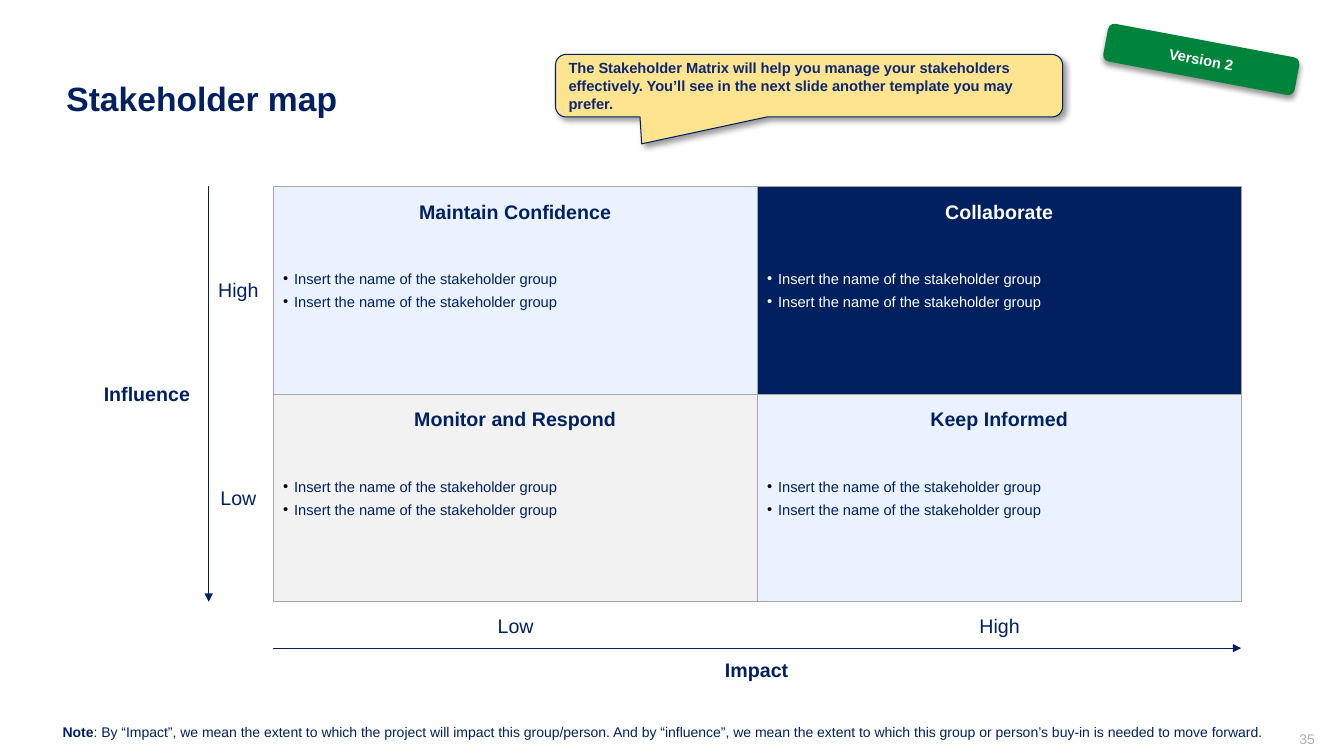
from lxml import etree
from pptx import Presentation
from pptx.dml.color import RGBColor
from pptx.enum.shapes import MSO_CONNECTOR as Connector, MSO_SHAPE as Shape
from pptx.enum.text import MSO_ANCHOR as Anchor, PP_ALIGN as Align
from pptx.oxml.ns import qn
from pptx.util import Inches, Pt

NAVY, WHITE, BLACK = "002060", "FFFFFF", "000000"
PALE_BLUE, PALE_GREY, BORDER = "EBF2FF", "F2F2F2", "A6A6A6"
STAKEHOLDERS = ["Insert the name of the stakeholder group"] * 2
# Title, fill, text colour, bullet colour; row by row
QUADRANTS = [
    [("Maintain Confidence", PALE_BLUE, NAVY, BLACK),
     ("Collaborate", NAVY, WHITE, WHITE)],
    [("Monitor and Respond", PALE_GREY, NAVY, BLACK),
     ("Keep Informed", PALE_BLUE, NAVY, BLACK)],
]
NOTE = (": By “Impact”, we mean the extent to which the project will impact this "
        "group/person. And by “influence”, we mean the extent to which this group "
        "or person’s buy-in is needed to move forward.")
HINT = ("The Stakeholder Matrix will help you manage your stakeholders effectively. "
        "You’ll see in the next slide another template you may prefer.")


def color(value):
    return RGBColor.from_string(value)


def add_xml(parent, tag, **attributes):
    return etree.SubElement(parent, qn(tag), attributes)


def style_span(span, size, ink=NAVY, bold=False):
    span.font.name = "Arial"
    span.font.size = Pt(size)
    span.font.bold = bold
    span.font.color.rgb = color(ink)


def set_margins(frame, left, top, right, bottom):
    frame.margin_left, frame.margin_top = Inches(left), Inches(top)
    frame.margin_right, frame.margin_bottom = Inches(right), Inches(bottom)


def add_label(page, box, text, size=14, ink=NAVY, bold=False, align=Align.CENTER,
              anchor=Anchor.TOP, margins=(0.1, 0.05, 0.1, 0.05), wrap=True):
    frame = page.shapes.add_textbox(*map(Inches, box)).text_frame
    frame.word_wrap = wrap
    frame.vertical_anchor = anchor
    set_margins(frame, *margins)
    frame.text = text
    para = frame.paragraphs[0]
    para.alignment = align
    style_span(para.runs[0], size, ink, bold)
    return para


def add_panel(page, kind, box, fill, border=None):
    panel = page.shapes.add_shape(kind, *map(Inches, box))
    panel.shadow.inherit = False
    panel.fill.solid()
    panel.fill.fore_color.rgb = color(fill)
    if border:
        panel.line.color.rgb = color(border)
        panel.line.width = Pt(0.75)
    else:
        panel.line.fill.background()
    panel.text_frame.word_wrap = True
    panel.text_frame.vertical_anchor = Anchor.MIDDLE
    return panel


def add_shadow(panel, angle):
    effects = panel.element.spPr.find(qn("a:effectLst"))
    shadow = add_xml(effects, "a:outerShdw", blurRad=str(Pt(4)), dist=str(Pt(3)),
                     dir=str(angle * 60000), algn="t", rotWithShape="0")
    tint = add_xml(shadow, "a:srgbClr", val=BLACK)
    add_xml(tint, "a:alpha", val="40000")


def add_arrow(page, start, end):
    arrow = page.shapes.add_connector(Connector.STRAIGHT, *map(Inches, start + end))
    arrow.line.color.rgb = color(NAVY)
    arrow.line.width = Pt(0.5)
    add_xml(arrow.line._get_or_add_ln(), "a:tailEnd", type="triangle")
    add_xml(arrow._element.spPr, "a:effectLst")


def add_bullet(para, ink):
    props = para._p.get_or_add_pPr()
    props.set("marL", str(Inches(0.11)))
    props.set("indent", str(Inches(-0.11)))
    add_xml(add_xml(props, "a:buClr"), "a:srgbClr", val=ink)
    add_xml(props, "a:buFont", typeface="Arial")
    add_xml(props, "a:buChar", char="•")


def add_quadrant(page, box, title, fill, ink, bullet_ink):
    left, top, width, _ = box
    panel = add_panel(page, Shape.RECTANGLE, box, fill, BORDER)
    frame = panel.text_frame
    frame.text = "\n".join(STAKEHOLDERS)
    for index, para in enumerate(frame.paragraphs):
        para.alignment = Align.LEFT
        para.space_before = Pt(2 if index else 0)
        para.space_after = Pt(2)
        add_bullet(para, bullet_ink)
        style_span(para.runs[0], 10.5, ink)
    add_label(page, (left + 0.76, top + 0.03, width - 1.52, 0.43), title, ink=ink,
              bold=True, margins=(0.2, 0.1, 0.2, 0.1))


def add_matrix(page, box):
    left, top, width, height = box
    cell_width, cell_height = width / 2, height / 2
    for row, quadrants in enumerate(QUADRANTS):
        for column, quadrant in enumerate(quadrants):
            cell = (left + column * cell_width, top + row * cell_height,
                    cell_width, cell_height)
            add_quadrant(page, cell, *quadrant)


def add_axes(page, box):
    """Scales to the left of and below the matrix box."""
    left, top, width, height = box
    right, bottom = left + width, top + height
    wide = (0.2, 0.1, 0.2, 0.1)
    # Influence, running down
    add_label(page, (left - 1.88, top + height / 2 - 0.22, 1.26, 0.43), "Influence",
              bold=True, align=Align.LEFT, margins=wide, wrap=False)
    add_arrow(page, (left - 0.64, top), (left - 0.64, bottom))
    for index, level in enumerate(["High", "Low"]):
        middle = top + height * (index + 0.5) / 2
        add_label(page, (left - 0.65, middle - 0.17, 0.61, 0.34), level, wrap=False)
    # Impact, running right
    add_label(page, (left + width / 2 - 0.52, bottom + 0.46, 1.03, 0.43), "Impact",
              bold=True, margins=wide, wrap=False)
    add_arrow(page, (left, bottom + 0.46), (right, bottom + 0.46))
    for index, level in enumerate(["Low", "High"]):
        middle = left + width * (index + 0.5) / 2
        add_label(page, (middle - 0.3, bottom + 0.07, 0.61, 0.34), level, wrap=False)


def add_callout(page, box):
    callout = add_panel(page, Shape.ROUNDED_RECTANGULAR_CALLOUT, box, "FFE48F", NAVY)
    for index, value in enumerate([-0.33, 0.93, 0.17]):
        callout.adjustments[index] = value
    add_shadow(callout, 45)
    callout.text_frame.text = HINT
    para = callout.text_frame.paragraphs[0]
    para.alignment = Align.LEFT
    para.space_after = Pt(3)
    style_span(para.runs[0], 10.5, "0C2870", bold=True)


def add_badge(page, box):
    badge = add_panel(page, Shape.ROUNDED_RECTANGLE, box, "00843C")
    badge.rotation = 10.6
    add_shadow(badge, 90)
    badge.text_frame.text = "Version 2"
    para = badge.text_frame.paragraphs[0]
    para.alignment = Align.CENTER
    style_span(para.runs[0], 10.5, WHITE, bold=True)


def add_footer(page, box):
    left, top, width, height = box
    note = add_label(page, box, "Note", 10, bold=True, align=Align.LEFT,
                     margins=(0, 0, 0, 0))
    span = note.add_run()
    span.text = NOTE
    style_span(span, 10)
    add_label(page, (left + width - 2.59, top + 0.07, 3, 0.21), "35", 10, "ADAFBB",
              align=Align.RIGHT, anchor=Anchor.MIDDLE, margins=(0.1, 0, 0, 0.05))


def main():
    deck = Presentation()
    deck.slide_width, deck.slide_height = Inches(13.33), Inches(7.5)
    page = deck.slides.add_slide(deck.slide_layouts[6])
    title = add_label(page, (0.56, 0.4, 12.11, 1.19), "Stakeholder map", 24, bold=True,
                      align=Align.LEFT, anchor=Anchor.MIDDLE)
    title.line_spacing = 0.9
    matrix = (2.71, 1.85, 9.6, 4.12)
    add_matrix(page, matrix)
    add_axes(page, matrix)
    add_callout(page, (5.51, 0.54, 5.03, 0.62))
    add_badge(page, (10.95, 0.4, 1.93, 0.38))
    add_footer(page, (0.62, 7.18, 12.01, 0.17))
    deck.save("out.pptx")


if __name__ == "__main__":
    main()
